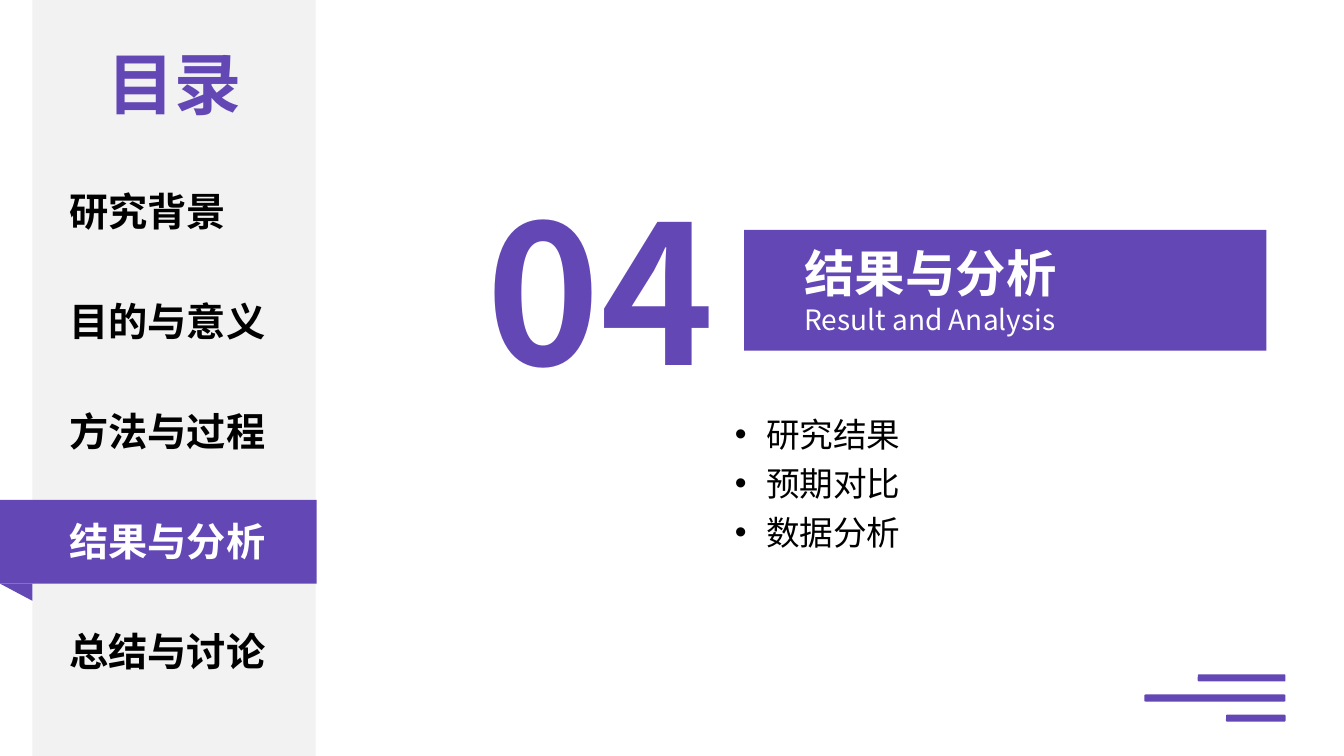
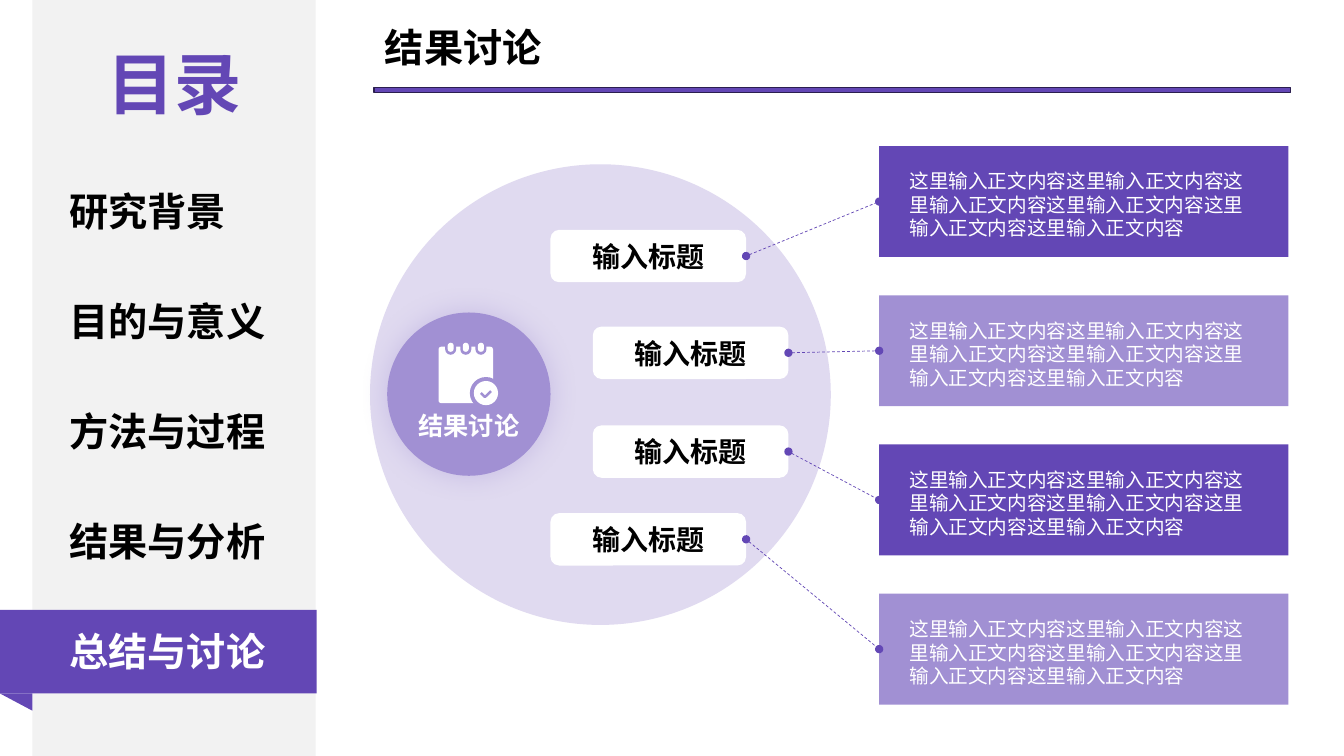
"""Build a contents divider and a discussion slide with a shared sidebar."""
import dataclasses

import lxml.etree as etree
import pptx
import pptx.dml.color
import pptx.enum.dml
import pptx.enum.shapes
import pptx.enum.text
import pptx.oxml.ns
import pptx.util

Inches = pptx.util.Inches
Pt = pptx.util.Pt
RGBColor = pptx.dml.color.RGBColor
SHAPE = pptx.enum.shapes.MSO_SHAPE
ALIGN = pptx.enum.text.PP_ALIGN
ANCHOR = pptx.enum.text.MSO_ANCHOR
qn = pptx.oxml.ns.qn


@dataclasses.dataclass(frozen=True)
class Theme:
    """Hold the fonts, colours and type sizes of the deck."""

    font: str = "Noto Sans CJK SC"
    primary: str = "6347B5"
    soft: str = "A190D3"
    pale: str = "E0DAF0"
    outline: str = "2B1F4F"
    sidebar: str = "F2F2F2"
    white: str = "FFFFFF"
    black: str = "000000"
    number: int = 138
    contents: int = 48
    section: int = 36
    heading: int = 28
    topic: int = 24
    label: int = 20
    hub: int = 18
    body: int = 14


THEME = Theme()
CHAPTERS = ("研究背景", "目的与意义", "方法与过程", "结果与分析", "总结与讨论")
TOPICS = ("研究结果", "预期对比", "数据分析")
CARD_TEXT = "这里输入正文内容" * 6


def apply_format(target, values):
    """Set each named attribute of the target."""
    for name, value in values.items():
        setattr(target, name, value)


def style_line(line, color, width):
    """Colour a line and set its width in points."""
    line.color.rgb = RGBColor.from_string(color)
    line.width = Pt(width)


def add_block(slide, kind, box, fill):
    """Add a flat preset shape without outline or shadow."""
    block = slide.shapes.add_shape(kind, *map(Inches, box))
    block.shadow.inherit = False
    block.fill.solid()
    block.fill.fore_color.rgb = RGBColor.from_string(fill)
    block.line.fill.background()
    return block


def write(paragraph, text, size, color, bold=False, align=ALIGN.LEFT):
    """Write one formatted run into a paragraph."""
    paragraph.alignment = align
    run = paragraph.add_run()
    run.text = text
    apply_format(run.font, {"size": Pt(size), "bold": bold, "name": THEME.font})
    run.font.color.rgb = RGBColor.from_string(color)
    east_asian = etree.SubElement(run.font._element, qn("a:ea"))
    east_asian.set("typeface", THEME.font)


def add_frame(slide, box):
    """Add a wrapping text box that fits its text and return its frame."""
    frame = slide.shapes.add_textbox(*map(Inches, box)).text_frame
    apply_format(frame, {
        "word_wrap": True,
        "auto_size": pptx.enum.text.MSO_AUTO_SIZE.SHAPE_TO_FIT_TEXT,
    })
    return frame


def add_label(slide, box, text, size, color, align=ALIGN.LEFT):
    """Add a one-paragraph bold text box."""
    write(add_frame(slide, box).paragraphs[0], text, size, color, True, align)


def add_bullet(paragraph, text):
    """Turn a paragraph into a bulleted topic."""
    paragraph.line_spacing = Pt(35)
    properties = paragraph._p.get_or_add_pPr()
    properties.set("marL", str(Inches(0.31)))
    properties.set("indent", str(Inches(-0.31)))
    etree.SubElement(properties, qn("a:buFont")).set("typeface", "Arial")
    etree.SubElement(properties, qn("a:buChar")).set("char", "•")
    write(paragraph, text, THEME.topic, THEME.black)


def add_glow(shape, color, blur, opacity):
    """Give a shape a centred soft shadow."""
    properties = shape._element.spPr
    effects = properties.find(qn("a:effectLst"))
    shadow = etree.SubElement(effects, qn("a:outerShdw"), {
        "blurRad": str(Pt(blur)), "dist": "0", "dir": "0",
        "algn": "ctr", "rotWithShape": "0",
    })
    tint = etree.SubElement(shadow, qn("a:srgbClr"), val=color)
    etree.SubElement(tint, qn("a:alpha"), val=str(opacity * 1000))


def add_link(slide, pill, card):
    """Join a pill to its card with a dashed, dotted-end connector."""
    link = slide.shapes.add_connector(
        pptx.enum.shapes.MSO_CONNECTOR.STRAIGHT, 0, 0, 0, 0)
    link.begin_connect(pill, 3)
    link.end_connect(card, 1)
    style_line(link.line, THEME.primary, 0.5)
    link.line.dash_style = pptx.enum.dml.MSO_LINE.DASH
    outline = link.line._get_or_add_ln()
    for end in ("a:headEnd", "a:tailEnd"):
        etree.SubElement(outline, qn(end), type="oval")
    etree.SubElement(link._element.spPr, qn("a:effectLst"))


def add_sidebar(slide, current):
    """Draw the contents sidebar and highlight the current chapter."""
    first_top, step = 1.81, 1.09
    add_block(slide, SHAPE.RECTANGLE, (0.32, 0, 2.81, 7.5), THEME.sidebar)
    band_top = first_top + step * current - 0.12
    add_block(slide, SHAPE.RECTANGLE, (0, band_top, 3.14, 0.83), THEME.primary)
    fold = add_block(slide, SHAPE.RIGHT_TRIANGLE,
                     (0, band_top + 0.83, 0.32, 0.17), THEME.primary)
    fold.rotation = 180
    add_label(slide, (0.76, 0.37, 1.94, 0.91), "目录",
              THEME.contents, THEME.primary, ALIGN.CENTER)
    for index, chapter in enumerate(CHAPTERS):
        color = THEME.white if index == current else THEME.black
        add_label(slide, (0.59, first_top + step * index, 2.21, 0.57),
                  chapter, THEME.heading, color)


def add_pill(slide, left, top):
    """Add a white rounded title pill."""
    pill = add_block(slide, SHAPE.ROUNDED_RECTANGLE,
                     (left, top, 1.94, 0.52), THEME.white)
    pill.text_frame.vertical_anchor = ANCHOR.MIDDLE
    write(pill.text_frame.paragraphs[0], "输入标题", THEME.label,
          THEME.black, True, ALIGN.CENTER)
    return pill


def add_card(slide, top, fill):
    """Add a coloured card of body text."""
    card = add_block(slide, SHAPE.RECTANGLE, (8.72, top, 4.06, 1.1), fill)
    apply_format(card.text_frame, {
        "word_wrap": True, "vertical_anchor": ANCHOR.TOP,
        "margin_left": Inches(0.3), "margin_right": Inches(0.3),
        "margin_top": Inches(0.23), "margin_bottom": 0,
    })
    write(card.text_frame.paragraphs[0], CARD_TEXT, THEME.body, THEME.white)
    return card


def add_notepad(slide):
    """Draw a ring-bound notepad with a check badge."""
    page = add_block(slide, SHAPE.ROUNDED_RECTANGLE,
                     (4.35, 3.44, 0.54, 0.56), THEME.white)
    page.adjustments[0] = 0.05
    for index in range(3):
        center = 4.47 + 0.15 * index
        for width, top, height, fill in ((0.11, 3.38, 0.14, THEME.soft),
                                         (0.06, 3.4, 0.09, THEME.white)):
            ring = add_block(slide, SHAPE.ROUNDED_RECTANGLE,
                             (center - width / 2, top, width, height), fill)
            ring.adjustments[0] = 0.5
    for radius, fill in ((0.16, THEME.soft), (0.12, THEME.white)):
        add_block(slide, SHAPE.OVAL,
                  (4.82 - radius, 3.9 - radius, 2 * radius, 2 * radius), fill)
    outline = slide.shapes.build_freeform(Inches(4.77), Inches(3.9))
    outline.add_line_segments(
        [(Inches(4.81), Inches(3.94)), (Inches(4.87), Inches(3.88))],
        close=False)
    check = outline.convert_to_shape()
    check.shadow.inherit = False
    check.fill.background()
    style_line(check.line, THEME.soft, 1.75)


def build_divider(slide):
    """Build the chapter divider."""
    add_sidebar(slide, 3)
    add_block(slide, SHAPE.RECTANGLE, (7.38, 2.28, 5.18, 1.2), THEME.primary)
    add_label(slide, (4.35, 1.66, 3.22, 2.42), "04",
              THEME.number, THEME.primary, ALIGN.CENTER)
    section = add_frame(slide, (7.88, 2.35, 4.5, 1.04))
    write(section.paragraphs[0], CHAPTERS[3], THEME.section, THEME.white, True)
    write(section.add_paragraph(), "Result and Analysis",
          THEME.label, THEME.white)
    topics = add_frame(slide, (7.19, 3.97, 4.44, 2.02))
    for index, topic in enumerate(TOPICS):
        add_bullet(topics.add_paragraph() if index else topics.paragraphs[0],
                   topic)
    for index, width in enumerate((0.87, 1.4, 0.59)):
        add_block(slide, SHAPE.ROUNDED_RECTANGLE,
                  (12.75 - width, 6.69 + 0.2 * index, width, 0.07),
                  THEME.primary)


def build_discussion(slide):
    """Build the discussion diagram."""
    add_sidebar(slide, 4)
    add_label(slide, (3.72, 0.18, 4.93, 0.57), "结果讨论",
              THEME.heading, THEME.black)
    rule = add_block(slide, SHAPE.RECTANGLE, (3.71, 0.87, 9.09, 0.05),
                     THEME.primary)
    style_line(rule.line, THEME.outline, 1)
    add_block(slide, SHAPE.OVAL, (3.67, 1.63, 4.57, 4.57), THEME.pale)
    hub = add_block(slide, SHAPE.OVAL, (3.84, 3.1, 1.62, 1.62), THEME.soft)
    add_glow(hub, THEME.soft, 20, 40)
    add_notepad(slide)
    add_label(slide, (4.04, 4.02, 1.22, 0.4), "结果讨论",
              THEME.hub, THEME.white, ALIGN.CENTER)
    pill_places = ((5.46, 2.28), (5.88, 3.24), (5.88, 4.22), (5.46, 5.09))
    for index, place in enumerate(pill_places):
        fill = THEME.soft if index % 2 else THEME.primary
        pill = add_pill(slide, *place)
        card = add_card(slide, 1.45 + 1.48 * index, fill)
        add_link(slide, pill, card)


def main():
    """Create and save the presentation."""
    deck = pptx.Presentation()
    apply_format(deck, {"slide_width": Inches(13.33),
                        "slide_height": Inches(7.5)})
    for build in (build_divider, build_discussion):
        build(deck.slides.add_slide(deck.slide_layouts[6]))
    deck.save("out.pptx")


if __name__ == "__main__":
    main()
